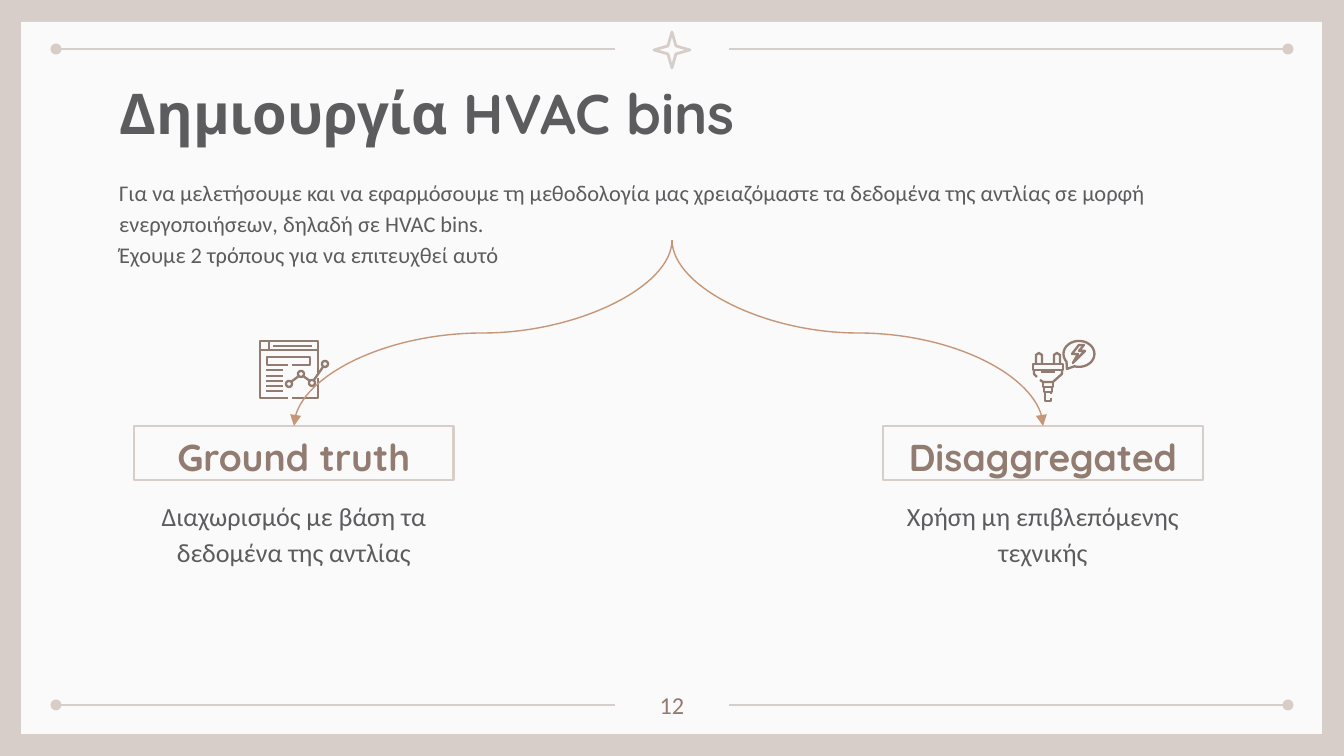
import math
import pptx
import pptx.util
import pptx.dml.color
import pptx.enum.shapes
import pptx.enum.text
import pptx.oxml
import pptx.oxml.ns

RGB = pptx.dml.color.RGBColor
ROSE = RGB(0xD8, 0xCE, 0xC9)
PAPER = RGB(0xFA, 0xFA, 0xFA)
GREY = RGB(0x5C, 0x5C, 0x5F)
BROWN = RGB(0x92, 0x7C, 0x71)
COPPER = RGB(0xC6, 0x96, 0x78)
KIND = pptx.enum.shapes.MSO_SHAPE
WIRE = pptx.enum.shapes.MSO_CONNECTOR
LEFT = pptx.enum.text.PP_ALIGN.LEFT
MID = pptx.enum.text.PP_ALIGN.CENTER
TOP = pptx.enum.text.MSO_ANCHOR.TOP
CENTRE = pptx.enum.text.MSO_ANCHOR.MIDDLE
PX = 9144000 / 1344
WIDE, HIGH = 1344, 756

TITLE = "Δημιουργία HVAC bins"
INTRO = [
    "Για να μελετήσουμε και να εφαρμόσουμε τη μεθοδολογία μας χρειαζόμαστε "
    "τα δεδομένα της αντλίας σε μορφή ενεργοποιήσεων, δηλαδή σε HVAC bins.",
    "Έχουμε 2 τρόπους για να επιτευχθεί αυτό",
]
WAYS = [
    (134, "Ground truth", "Διαχωρισμός με βάση τα δεδομένα της αντλίας"),
    (883, "Disaggregated", "Χρήση μη επιβλεπόμενης τεχνικής"),
]
NUMBER = "12"
FORK = (672, 240)
BOX_TOP, BOX_WIDE, BOX_HIGH = 426, 320, 54


def arc(x, y, wide, high, start=0, count=31):
    turns = [math.radians(start + 12 * step) for step in range(count)]
    return [(x + wide * math.cos(turn), y + high * math.sin(turn)) for turn in turns]


NODES = [(289, 384), (301, 374), (312, 383), (325, 364)]
SHEET = [
    [(288, 398), (260, 398), (260, 341), (318, 341), (318, 374)],
    [(318, 378), (318, 398), (292, 398)],
    [(260, 350), (318, 350)],
    [(269, 341), (269, 350)],
    [(291, 382), (299, 376)],
    [(303, 376), (310, 381)],
    [(314, 380), (323, 367)],
] + [arc(x, y, 3, 3) for x, y in NODES]
FIELD = [[(288, 365), (267, 365), (267, 357), (310, 357), (310, 365), (292, 365)]]
REPORT = [SHEET, FIELD]
REPORT_BARS = [(273, 345, 39, 2)] + [
    (266, y, 17, 2) for y in (369, 375, 380, 385, 390)]

BUBBLE = arc(1079, 354, 15.5, 13, 143, 28)
PLUG = [
    [BUBBLE + [(1067, 369), BUBBLE[0]]],
    [
        [(1036, 364), (1036, 355), (1039, 353), (1042, 355), (1042, 364)],
        [(1054, 364), (1054, 355), (1057, 353), (1060, 355), (1060, 364)],
        [(1033, 364), (1063, 364), (1063, 370), (1033, 370), (1033, 364)],
        [(1037, 377), (1034, 374), (1034, 370)],
        [(1040, 380), (1043, 382), (1053, 382), (1062, 374), (1062, 370)],
        [(1043, 382), (1043, 387), (1053, 387), (1053, 382)],
        [(1044, 387), (1044, 392), (1052, 392), (1052, 387)],
        [(1045, 392), (1045, 401), (1051, 401), (1051, 398)],
        [(1051, 392), (1051, 394)],
    ],
    [[(1079, 345), (1072, 354), (1078, 354), (1073, 363), (1085, 351),
      (1079, 351), (1084, 345), (1079, 345)]],
]
PLUG_BARS = [(1041, 371, 14, 2)]


def scale(*nums):
    return [round(num * PX) for num in nums]


def style(shape, fill=None, line=None, width=1.5):
    shape.shadow.inherit = False
    if fill is None:
        shape.fill.background()
    else:
        shape.fill.solid()
        shape.fill.fore_color.rgb = fill
    if line is None:
        shape.line.fill.background()
    else:
        shape.line.color.rgb = line
        shape.line.width = pptx.util.Pt(width)


def write(shape, texts, size, color, font="Calibri", bold=False,
          align=MID, anchor=TOP, space=1.15):
    frame = shape.text_frame
    frame.word_wrap = True
    frame.auto_size = pptx.enum.text.MSO_AUTO_SIZE.NONE
    frame.vertical_anchor = anchor
    frame.margin_left = frame.margin_right = pptx.util.Inches(0.1)
    frame.margin_top = frame.margin_bottom = pptx.util.Inches(0.1)
    for num, text in enumerate(texts):
        para = frame.add_paragraph() if num else frame.paragraphs[0]
        para.alignment = align
        para.line_spacing = space
        run = para.add_run()
        run.text = text
        run.font.name = font
        run.font.size = pptx.util.Pt(size)
        run.font.bold = bold
        run.font.color.rgb = color


def link(shapes, kind, ends, color, width, cap, tip):
    line = shapes.add_connector(kind, *scale(*ends))
    line.line.color.rgb = color
    line.line.width = pptx.util.Pt(width)
    mark = pptx.oxml.parse_xml(
        f'<a:{cap} {pptx.oxml.ns.nsdecls("a")} type="{tip}"/>')
    line.line._get_or_add_ln().append(mark)
    line._element.spPr.append(pptx.oxml.parse_xml(
        f'<a:effectLst {pptx.oxml.ns.nsdecls("a")}/>'))
    return line


def curve(shapes, start, end):
    tall, span = end[1] - start[1], abs(end[0] - start[0])
    left = (start[0] + end[0] - tall) / 2
    top = (start[1] + end[1] - span) / 2
    line = link(shapes, WIRE.CURVE, (left, top, left + tall, top + span),
                COPPER, 0.75, "tailEnd", "triangle")
    frame = line._element.spPr.find(pptx.oxml.ns.qn("a:xfrm"))
    right = end[0] > start[0]
    frame.set("rot", str((270 if right else 90) * 60000))
    if right:
        frame.set("flipH", "1")


def icon(shapes, parts, bars):
    group = shapes.add_group_shape().shapes
    for paths in parts:
        pen = group.build_freeform(*scale(*paths[0][0]), scale=1.0)
        for num, path in enumerate(paths):
            if num:
                pen.move_to(*scale(*path[0]))
            pen.add_line_segments([scale(*spot) for spot in path[1:]], close=False)
        style(pen.convert_to_shape(), line=BROWN, width=1.25)
    for x, y, wide, high in bars:
        pen = group.build_freeform(*scale(x, y), scale=1.0)
        pen.add_line_segments([
            scale(x + wide, y), scale(x + wide, y + high), scale(x, y + high)])
        style(pen.convert_to_shape(), fill=BROWN)


def main():
    deck = pptx.Presentation()
    deck.slide_width, deck.slide_height = scale(WIDE, HIGH)
    slide = deck.slides.add_slide(deck.slide_layouts[5])
    shapes = slide.shapes
    slide.background.fill.solid()
    slide.background.fill.fore_color.rgb = ROSE

    panel = shapes.add_shape(KIND.RECTANGLE, *scale(21, 22, 1301, 712))
    style(panel, fill=PAPER)
    for y in (49, 705):
        link(shapes, WIRE.STRAIGHT, (56, y, 615, y), ROSE, 1.5, "headEnd", "oval")
        link(shapes, WIRE.STRAIGHT, (729, y, 1288, y), ROSE, 1.5, "tailEnd", "oval")
    star = shapes.add_shape(KIND.STAR_4_POINT, *scale(654, 32, 36, 36))
    star.adjustments[0] = 0.157
    style(star, line=ROSE)

    title = shapes.title
    title.left, title.top, title.width, title.height = scale(106, 65, 1133, 85)
    write(title, [TITLE], 30, GREY, "Quicksand", True, LEFT, space=1.0)
    title.element.getparent().append(title.element)

    intro = shapes.add_textbox(*scale(106, 162, 1133, 78))
    write(intro, INTRO, 12, GREY, align=LEFT)
    page = shapes.add_textbox(*scale(632, 677, 80, 48))
    write(page, [NUMBER], 13, BROWN, space=1.0)

    for x, name, note in WAYS:
        box = shapes.add_shape(
            KIND.RECTANGLE, *scale(x, BOX_TOP, BOX_WIDE, BOX_HIGH))
        style(box, line=ROSE)
        write(box, [name], 20, BROWN, "Quicksand", True, anchor=CENTRE)
        text = shapes.add_textbox(*scale(x, 482, BOX_WIDE, 128))
        write(text, [note], 14, GREY)

    icon(shapes, REPORT, REPORT_BARS)
    icon(shapes, PLUG, PLUG_BARS)
    for x, name, note in WAYS:
        curve(shapes, FORK, (x + BOX_WIDE / 2, BOX_TOP))

    deck.save("out.pptx")


if __name__ == "__main__":
    main()
